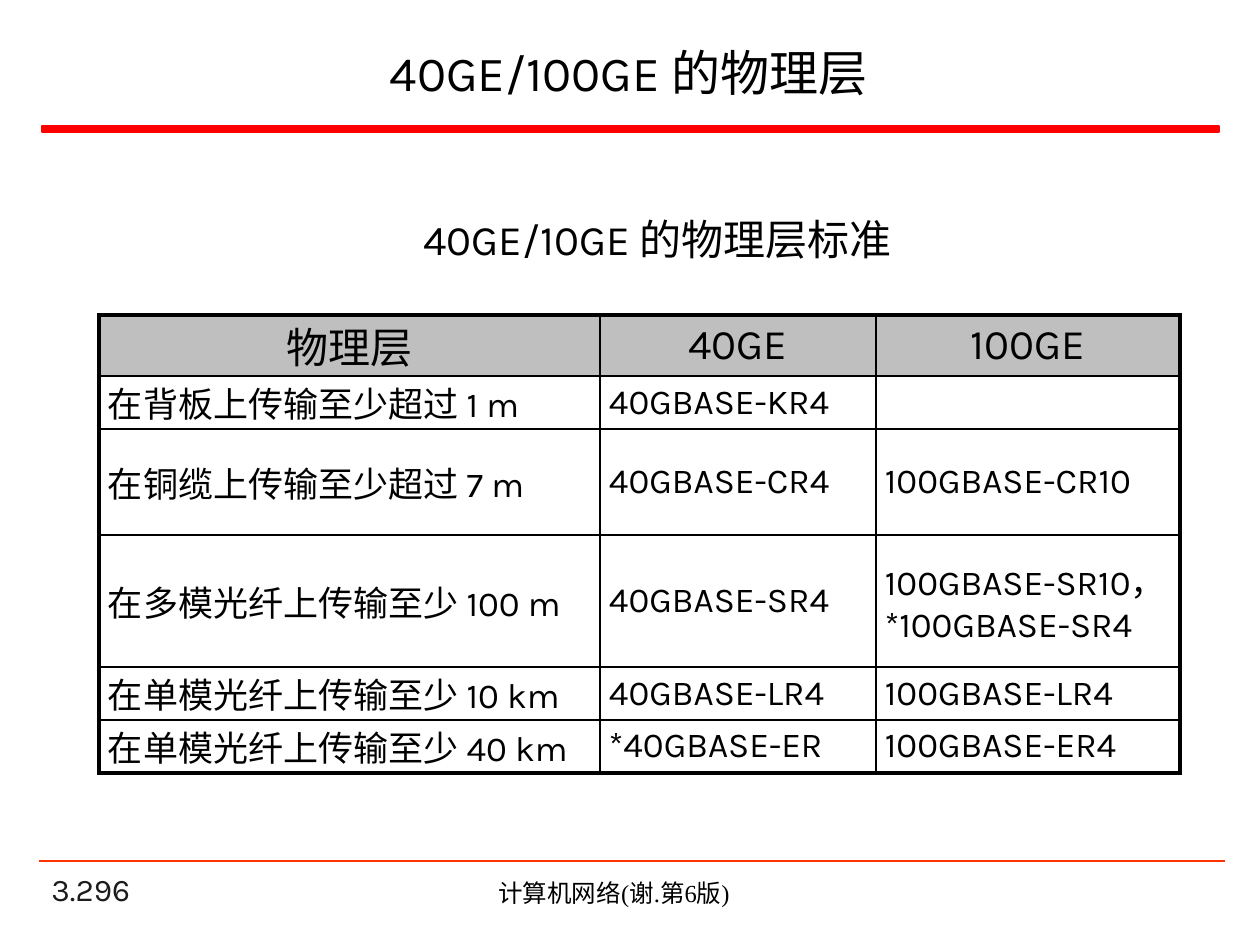
from lxml import etree
from pptx import Presentation
from pptx import util as u
from pptx.dml.color import RGBColor
from pptx.enum import shapes, text
from pptx.oxml.ns import qn

PX_PER_INCH = 126
COLORS = {"ink": "000000", "number": "1C1C1C", "rule": "FF0000",
          "footer_rule": "FF3300", "header": "BFBFBF"}
FONT = "Karla"
COLUMNS = [501, 276, 304]
ROWS = [61, 53, 106, 132, 53, 53]
STANDARDS = [
    ["物理层", "40GE", "100GE"],
    ["在背板上传输至少超过 1 m", "40GBASE-KR4", ""],
    ["在铜缆上传输至少超过 7 m", "40GBASE-CR4", "100GBASE-CR10"],
    ["在多模光纤上传输至少 100 m", "40GBASE-SR4", "100GBASE-SR10，\n*100GBASE-SR4"],
    ["在单模光纤上传输至少 10 km", "40GBASE-LR4", "100GBASE-LR4"],
    ["在单模光纤上传输至少 40 km", "*40GBASE-ER", "100GBASE-ER4"],
]


def px(length):
    return u.Emu(round(length * u.Inches(1) / PX_PER_INCH))


def color(name):
    return RGBColor.from_string(COLORS[name])


def style(para, size, align, ink="ink", font=FONT):
    para.alignment = align
    para.font.size = u.Pt(size)
    para.font.name = font
    para.font.color.rgb = color(ink)


def add_text(page, box, words, size, anchor, align=text.PP_ALIGN.CENTER, **look):
    label = page.shapes.add_textbox(*map(px, box))
    frame = label.text_frame
    frame.word_wrap = True
    frame.vertical_anchor = anchor
    frame.text = words
    style(frame.paragraphs[0], size, align, **look)


def add_header(page, box):
    left, top, width, height = box
    add_text(page, (left + 5, top, width - 14, 87), "40GE/100GE 的物理层", 28,
             text.MSO_ANCHOR.MIDDLE)
    # Thick rule under the title
    rule = page.shapes.add_shape(shapes.MSO_SHAPE.RECTANGLE,
                                 *map(px, (left, top + height - 6, width, 6)))
    rule.shadow.inherit = False
    rule.fill.solid()
    rule.fill.fore_color.rgb = color("rule")
    rule.line.color.rgb = color("rule")
    rule.line.width = u.Pt(1)


def set_borders(cell, widths):
    props = cell._tc.get_or_add_tcPr()
    for side, points in widths.items():
        line = etree.SubElement(props, qn(f"a:ln{side}"), w=str(u.Pt(points)))
        fill = etree.SubElement(line, qn("a:solidFill"))
        etree.SubElement(fill, qn("a:srgbClr"), val=COLORS["ink"])


def add_standards(page, box):
    table = page.shapes.add_table(len(ROWS), len(COLUMNS), *map(px, box)).table
    for column, width in zip(table.columns, COLUMNS):
        column.width = px(width)
    for row, height in zip(table.rows, ROWS):
        row.height = px(height)

    last_row, last_column = len(ROWS) - 1, len(COLUMNS) - 1
    for r, row in enumerate(STANDARDS):
        for c, words in enumerate(row):
            cell = table.cell(r, c)
            cell.margin_left = cell.margin_right = px(9)
            cell.margin_top = cell.margin_bottom = 0
            cell.vertical_anchor = text.MSO_ANCHOR.MIDDLE
            # Thick outer frame, thin inner grid
            outer = {"L": c == 0, "R": c == last_column,
                     "T": r == 0, "B": r == last_row}
            set_borders(cell, {side: 2.25 if edge else 1
                               for side, edge in outer.items()})
            if r == 0:
                cell.fill.solid()
                cell.fill.fore_color.rgb = color("header")
                size, align = 24, text.PP_ALIGN.CENTER
            else:
                cell.fill.background()
                size, align = 20, text.PP_ALIGN.JUSTIFY
            cell.text = words
            for para in cell.text_frame.paragraphs:
                style(para, size, align)


def add_footer(page, box):
    left, top, width, height = box
    rule = page.shapes.add_connector(shapes.MSO_CONNECTOR.STRAIGHT, px(left),
                                     px(top), px(left + width), px(top))
    rule.line.color.rgb = color("footer_rule")
    rule.line.width = u.Pt(1.5)
    etree.SubElement(rule._element.spPr, qn("a:effectLst"))
    # Page number and book name
    add_text(page, (left, top + 11, 262, height - 11), "3.296", 18,
             text.MSO_ANCHOR.BOTTOM, text.PP_ALIGN.LEFT, ink="number")
    add_text(page, (left + 318, top + 11, 514, height - 11), "计算机网络(谢.第6版)",
             14, text.MSO_ANCHOR.TOP, font="Times New Roman")


def main():
    deck = Presentation()
    deck.slide_width, deck.slide_height = px(1260), px(945)
    page = deck.slides.add_slide(deck.slide_layouts[6])
    add_header(page, (42, 28, 1177, 104))
    add_text(page, (236, 207, 843, 63), "40GE/10GE 的物理层标准", 24,
             text.MSO_ANCHOR.MIDDLE)
    add_standards(page, (99, 315, sum(COLUMNS), sum(ROWS)))
    add_footer(page, (39, 861, 1186, 53))
    deck.save("out.pptx")


if __name__ == "__main__":
    main()
